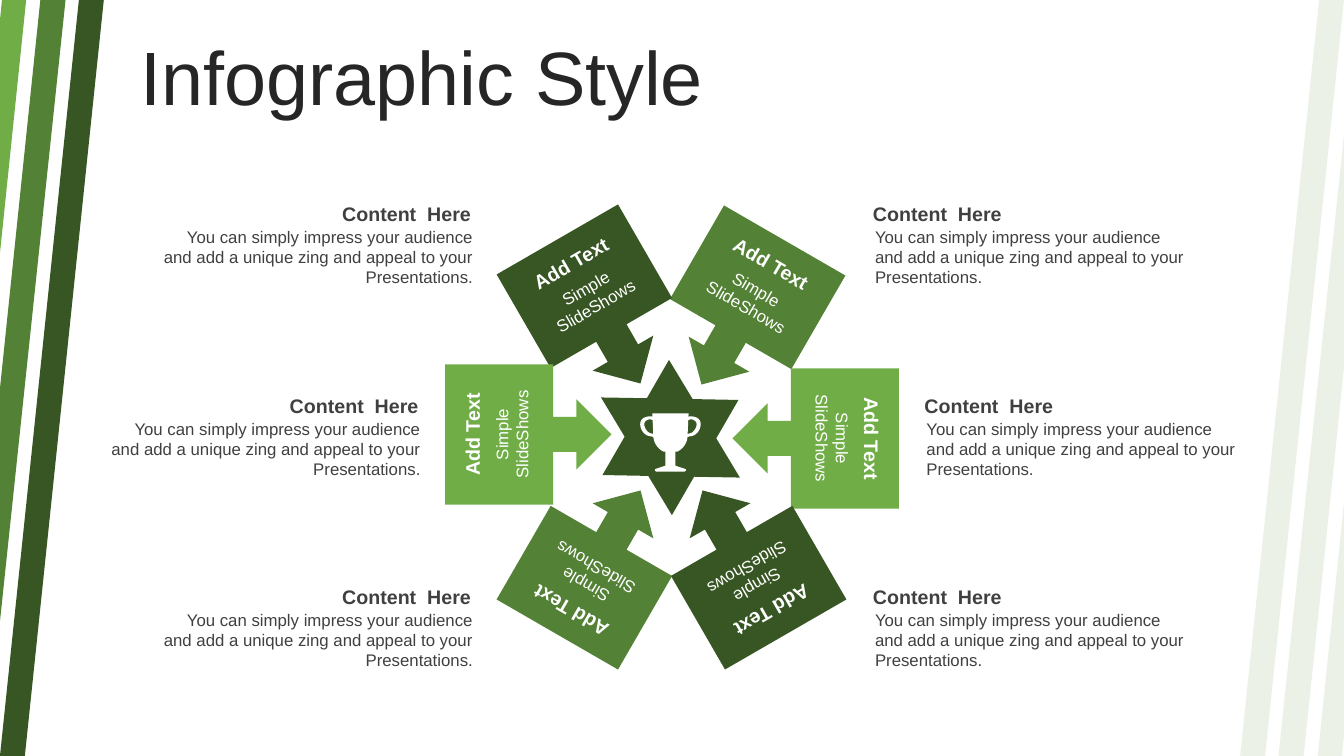
from dataclasses import dataclass
from math import cos, radians, sin

from lxml.etree import SubElement
from pptx import Presentation
from pptx.dml.color import RGBColor
from pptx.enum.shapes import MSO_SHAPE
from pptx.enum.text import MSO_ANCHOR, PP_ALIGN
from pptx.oxml.ns import qn
from pptx.util import Inches, Pt

DARK = RGBColor(0x37, 0x56, 0x23)
MID = RGBColor(0x53, 0x81, 0x35)
LIGHT = RGBColor(0x70, 0xAD, 0x47)
WHITE = RGBColor(0xFF, 0xFF, 0xFF)
INK = RGBColor(0x26, 0x26, 0x26)
GREY = RGBColor(0x40, 0x40, 0x40)

WIDTH, HEIGHT = 13.33, 7.5
FONT = "Arial"
BODY = ("You can simply impress your audience and add a unique zing "
        "and appeal to your Presentations.")

Point = tuple[float, float]


@dataclass
class Panel:
    x: float
    y: float
    turn: int
    color: RGBColor


@dataclass
class Note:
    left: float
    row: int
    align: PP_ALIGN


@dataclass
class Stripe:
    points: list[Point]
    color: RGBColor


PANELS = [
    Panel(7.37, 3.1, 30, MID),
    Panel(5.94, 5.58, 210, MID),
    Panel(8.09, 4.35, 90, LIGHT),
    Panel(7.38, 5.58, 150, DARK),
    Panel(5.94, 3.09, 330, DARK),
    Panel(5.24, 4.31, 270, LIGHT),
]
NOTES = [
    Note(8.56, 0, PP_ALIGN.LEFT),
    Note(9.07, 1, PP_ALIGN.LEFT),
    Note(8.56, 2, PP_ALIGN.LEFT),
    Note(1.49, 0, PP_ALIGN.RIGHT),
    Note(0.97, 1, PP_ALIGN.RIGHT),
    Note(1.49, 2, PP_ALIGN.RIGHT),
]
STRIPES = [
    Stripe([(0.4, 0), (0.65, 0), (0, 6.16), (0, 3.85)], MID),
    Stripe([(0.02, 0), (0.26, 0), (0, 2.51), (0, 0.2)], LIGHT),
]

AXIS = 6.65
RIM = [(AXIS, 4.19), (6.84, 4.13), (6.9, 4.13, 6.95, 4.15, 6.95, 4.21),
       (6.95, 4.27, 6.9, 4.33, 6.84, 4.33), (AXIS, 4.39)]
HOLE = [(AXIS, 4.22), (6.85, 4.16), (6.88, 4.16, 6.91, 4.18, 6.91, 4.21),
        (6.91, 4.25, 6.87, 4.3, 6.84, 4.3), (AXIS, 4.36)]
CUP = [(AXIS, 4.1), (6.83, 4.1), (6.82, 4.32),
       (6.82, 4.39, 6.78, 4.45, 6.72, 4.48), (6.7, 4.48), (6.7, 4.62),
       (6.79, 4.65), (6.81, 4.65, 6.81, 4.68, 6.78, 4.68), (AXIS, 4.68)]


def paint(shape, color: RGBColor, alpha: int = 100) -> None:
    shape.shadow.inherit = False
    shape.fill.solid()
    shape.fill.fore_color.rgb = color
    shape.line.fill.background()
    if alpha < 100:
        tint = shape._element.spPr.find(qn("a:solidFill"))[0]
        SubElement(tint, qn("a:alpha")).set("val", str(alpha * 1000))


def preset(slide, kind: MSO_SHAPE, x: float, y: float, w: float, h: float,
           color: RGBColor, turn: int = 0, alpha: int = 100):
    shape = slide.shapes.add_shape(
        kind, Inches(x - w / 2), Inches(y - h / 2), Inches(w), Inches(h))
    shape.rotation = turn
    paint(shape, color, alpha)
    return shape


def outline(slide, loops: list[list[Point]], color: RGBColor,
            alpha: int = 100) -> None:
    loops = [[(Inches(x), Inches(y)) for x, y in loop] for loop in loops]
    pen = slide.shapes.build_freeform(*loops[0][0], scale=1.0)
    for index, loop in enumerate(loops):
        if index:
            pen.move_to(*loop[0])
        pen.add_line_segments(loop[1:], close=True)
    paint(pen.convert_to_shape(), color, alpha)


def mirror(half: list[tuple]) -> list[Point]:
    points: list[Point] = []
    for step in half:
        if len(step) == 2:
            points.append(step)
            continue
        ends = [points[-1], step[:2], step[2:4], step[4:]]
        for part in range(1, 9):
            t = part / 8
            rates = ((1 - t) ** 3, 3 * t * (1 - t) ** 2,
                     3 * t * t * (1 - t), t ** 3)
            points.append((sum(r * p[0] for r, p in zip(rates, ends)),
                           sum(r * p[1] for r, p in zip(rates, ends))))
    return points + [(2 * AXIS - x, y) for x, y in points[-2:0:-1]]


def write(shape, text: str, *, size: int, color: RGBColor, bold: bool = False,
          align: PP_ALIGN = PP_ALIGN.LEFT,
          anchor: MSO_ANCHOR = MSO_ANCHOR.TOP, space: float = 1.0) -> None:
    frame = shape.text_frame
    frame.word_wrap = True
    frame.vertical_anchor = anchor
    line = frame.paragraphs[0]
    line.alignment = align
    line.line_spacing = space
    line.space_before = Pt(0)
    run = line.add_run()
    run.text = text
    run.font.name = FONT
    run.font.size = Pt(size)
    run.font.bold = bold
    run.font.color.rgb = color


def box(slide, x: float, y: float, w: float, h: float):
    return slide.shapes.add_textbox(Inches(x), Inches(y), Inches(w), Inches(h))


def edges(slide) -> None:
    for side, alpha in ((0, 100), (1, 11)):
        x = WIDTH - 0.515 if side else 0.515
        band = preset(slide, MSO_SHAPE.PARALLELOGRAM, x, HEIGHT / 2, 1.03,
                      HEIGHT, MID if side else DARK, 180 * side, alpha)
        band.adjustments[0] = 0.76
        for stripe in STRIPES:
            points = [(WIDTH - x, HEIGHT - y) if side else (x, y)
                      for x, y in stripe.points]
            outline(slide, [points], MID if side else stripe.color, alpha)


def label(slide, panel: Panel, text: str, reach: float, h: float,
          size: int, bold: bool) -> None:
    angle = radians(panel.turn)
    x = panel.x + reach * sin(angle)
    y = panel.y - reach * cos(angle)
    shape = box(slide, x - 0.685, y - h / 2, 1.37, h)
    shape.rotation = panel.turn
    write(shape, text, size=size, color=WHITE, bold=bold,
          align=PP_ALIGN.CENTER)


def main() -> None:
    deck = Presentation()
    deck.slide_width, deck.slide_height = Inches(WIDTH), Inches(HEIGHT)
    slide = deck.slides.add_slide(deck.slide_layouts[5])
    edges(slide)

    title = slide.shapes.title
    title.left, title.top = Inches(1.29), Inches(0.41)
    title.width, title.height = Inches(11.72), Inches(0.79)
    write(title, "Infographic Style", size=54, color=INK,
          anchor=MSO_ANCHOR.MIDDLE, space=0.9)

    for note in NOTES:
        top = 1.95 + 1.9 * note.row
        write(box(slide, note.left, top, 3.28, 0.34), "Content  Here",
              size=14, color=GREY, bold=True, align=note.align,
              anchor=MSO_ANCHOR.MIDDLE)
        write(box(slide, note.left + 0.02, top + 0.25, 3.28, 0.71), BODY,
              size=12, color=GREY, align=note.align)

    preset(slide, MSO_SHAPE.STAR_6_POINT, 6.65, 4.34, 1.32, 1.59, DARK, 300)
    for panel in PANELS:
        preset(slide, MSO_SHAPE.DOWN_ARROW_CALLOUT, panel.x, panel.y,
               1.39, 1.65, panel.color, panel.turn)
    for panel in PANELS:
        label(slide, panel, "Add Text", 0.54, 0.37, 14, True)
        label(slide, panel, "Simple SlideShows", 0.14, 0.55, 12, False)

    outline(slide, [mirror(RIM), mirror(HOLE)], WHITE)
    outline(slide, [mirror(CUP)], WHITE)
    deck.save("out.pptx")


if __name__ == "__main__":
    main()
